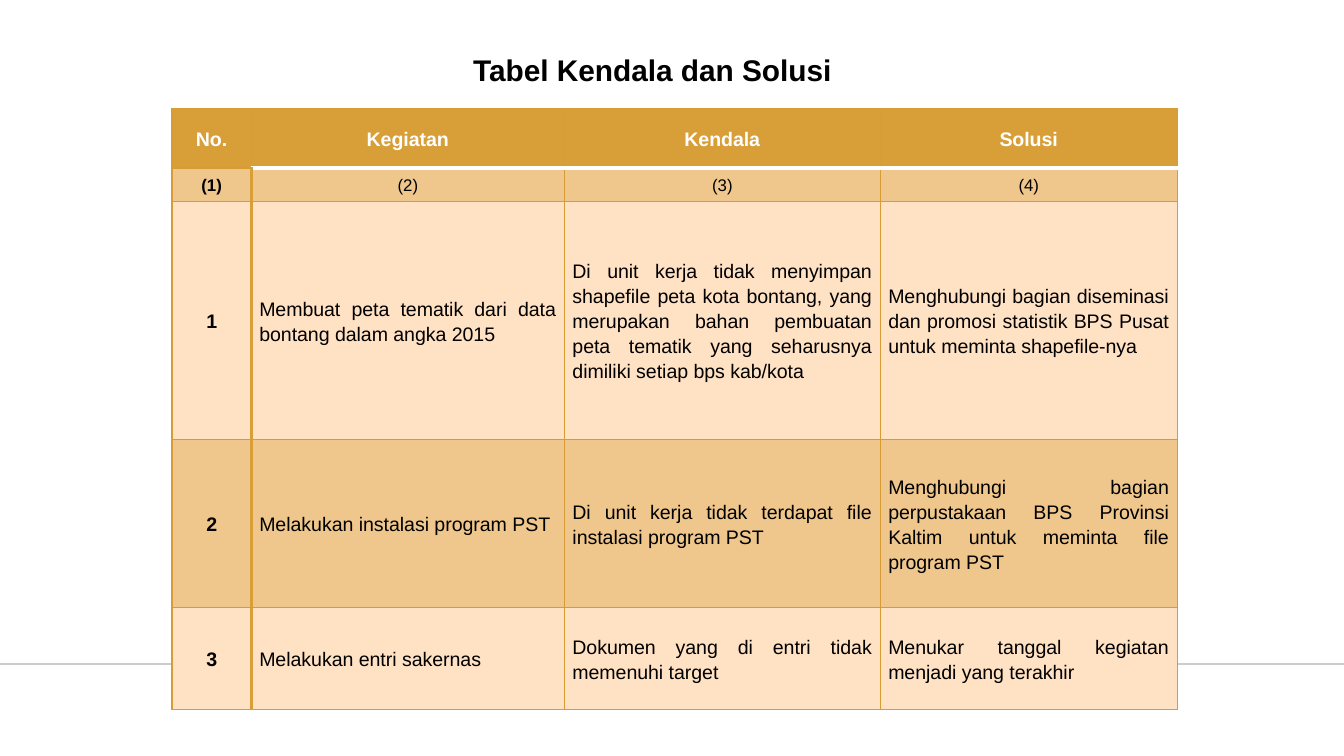
from lxml import etree
from pptx import Presentation
from pptx.dml.color import RGBColor
from pptx.enum.shapes import MSO_CONNECTOR
from pptx.enum.text import MSO_ANCHOR, PP_ALIGN
from pptx.oxml.ns import qn
from pptx.util import Inches, Pt

CENTER, JUSTIFY = PP_ALIGN.CENTER, PP_ALIGN.JUSTIFY
MIDDLE = MSO_ANCHOR.MIDDLE
STRAIGHT = MSO_CONNECTOR.STRAIGHT

FONT = "Arial"
COLORS = {
    "header": "D89F39",
    "band": "EFC78C",
    "plain": "FFE1C4",
    "border": "D79D34",
    "rule": "CCCCCC",
    "white": "FFFFFF",
    "black": "000000",
}
COLUMN_WIDTHS = [0.59, 2.33, 2.35, 2.21]
ROW_HEIGHTS = [0.44, 0.25, 1.77, 1.25, 0.76]
ROWS = [
    ["No.", "Kegiatan", "Kendala", "Solusi"],
    ["(1)", "(2)", "(3)", "(4)"],
    ["1", "Membuat peta tematik dari data bontang dalam angka 2015",
     "Di unit kerja tidak menyimpan shapefile peta kota bontang, yang merupakan "
     "bahan pembuatan peta tematik yang seharusnya dimiliki setiap bps kab/kota",
     "Menghubungi bagian diseminasi dan promosi statistik BPS Pusat untuk "
     "meminta shapefile-nya"],
    ["2", "Melakukan instalasi program PST",
     "Di unit kerja tidak terdapat file instalasi program PST ",
     "Menghubungi bagian perpustakaan BPS Provinsi Kaltim untuk meminta file "
     "program PST"],
    ["3", "Melakukan entri sakernas",
     "Dokumen yang di entri tidak memenuhi target",
     "Menukar tanggal kegiatan menjadi yang terakhir"],
]


def format_font(font, size, color, bold):
    font.name = FONT
    font.size = Pt(size)
    font.bold = bold
    font.color.rgb = RGBColor.from_string(COLORS[color])


def add_border(cell, side, color, width):
    properties = cell._tc.get_or_add_tcPr()
    line = etree.SubElement(properties, qn(f"a:ln{side}"), w=str(Pt(width)))
    fill = etree.SubElement(line, qn("a:solidFill"))
    etree.SubElement(fill, qn("a:srgbClr"), val=COLORS[color])


# Widescreen slide, 16 to 9
presentation = Presentation()
presentation.slide_width = Inches(10)
presentation.slide_height = presentation.slide_width * 9 // 16
slide = presentation.slides.add_slide(presentation.slide_layouts[5])

# Title
title = slide.shapes.title
title.left, title.top = Inches(2.42), Inches(0.33)
title.width, title.height = Inches(4.87), Inches(0.37)
title.text_frame.text = "Tabel Kendala dan Solusi"
title.text_frame.vertical_anchor = MIDDLE
title_paragraph = title.text_frame.paragraphs[0]
title_paragraph.alignment = CENTER
format_font(title_paragraph.runs[0].font, 16, "black", True)

# Rule across the slide, behind the table
rule_top = Inches(4.94)
rule = slide.shapes.add_connector(
    STRAIGHT, 0, rule_top, presentation.slide_width, rule_top)
rule.line.color.rgb = RGBColor.from_string(COLORS["rule"])
rule.line.width = Pt(0.75)
etree.SubElement(rule._element.spPr, qn("a:effectLst"))

# Table grid
table = slide.shapes.add_table(
    len(ROWS), len(COLUMN_WIDTHS), Inches(1.28), Inches(0.81),
    Inches(sum(COLUMN_WIDTHS)), Inches(sum(ROW_HEIGHTS))).table
for column, width in zip(table.columns, COLUMN_WIDTHS):
    column.width = Inches(width)
for row, height in zip(table.rows, ROW_HEIGHTS):
    row.height = Inches(height)

# Table cells
for row_index, texts in enumerate(ROWS):
    is_header = row_index == 0
    is_numbering = row_index == 1
    for column_index, text in enumerate(texts):
        is_first = column_index == 0
        cell = table.cell(row_index, column_index)
        cell.margin_left = cell.margin_right = Inches(0.06)
        cell.margin_top = cell.margin_bottom = 0
        cell.vertical_anchor = MIDDLE

        # Thick lines beside the first column, white line under the header
        borders = {side: ("border", 0.75) for side in "LRTB"}
        if not is_header and column_index < 2:
            borders["R" if is_first else "L"] = ("header", 2)
        if is_header and not is_first:
            borders["B"] = ("white", 2)
        if is_numbering and not is_first:
            borders["T"] = ("white", 2)
        for side, (color, width) in borders.items():
            add_border(cell, side, color, width)

        fill_name = "header" if is_header else "band" if row_index % 2 else "plain"
        cell.fill.solid()
        cell.fill.fore_color.rgb = RGBColor.from_string(COLORS[fill_name])

        cell.text_frame.text = text
        paragraph = cell.text_frame.paragraphs[0]
        centered = is_header or is_numbering or is_first
        paragraph.alignment = CENTER if centered else JUSTIFY
        paragraph.line_spacing = 1.15
        paragraph.space_before, paragraph.space_after = Pt(2), Pt(1)
        format_font(paragraph.runs[0].font, 9 if is_numbering else 10.5,
                    "white" if is_header else "black", is_header or is_first)

presentation.save("out.pptx")
